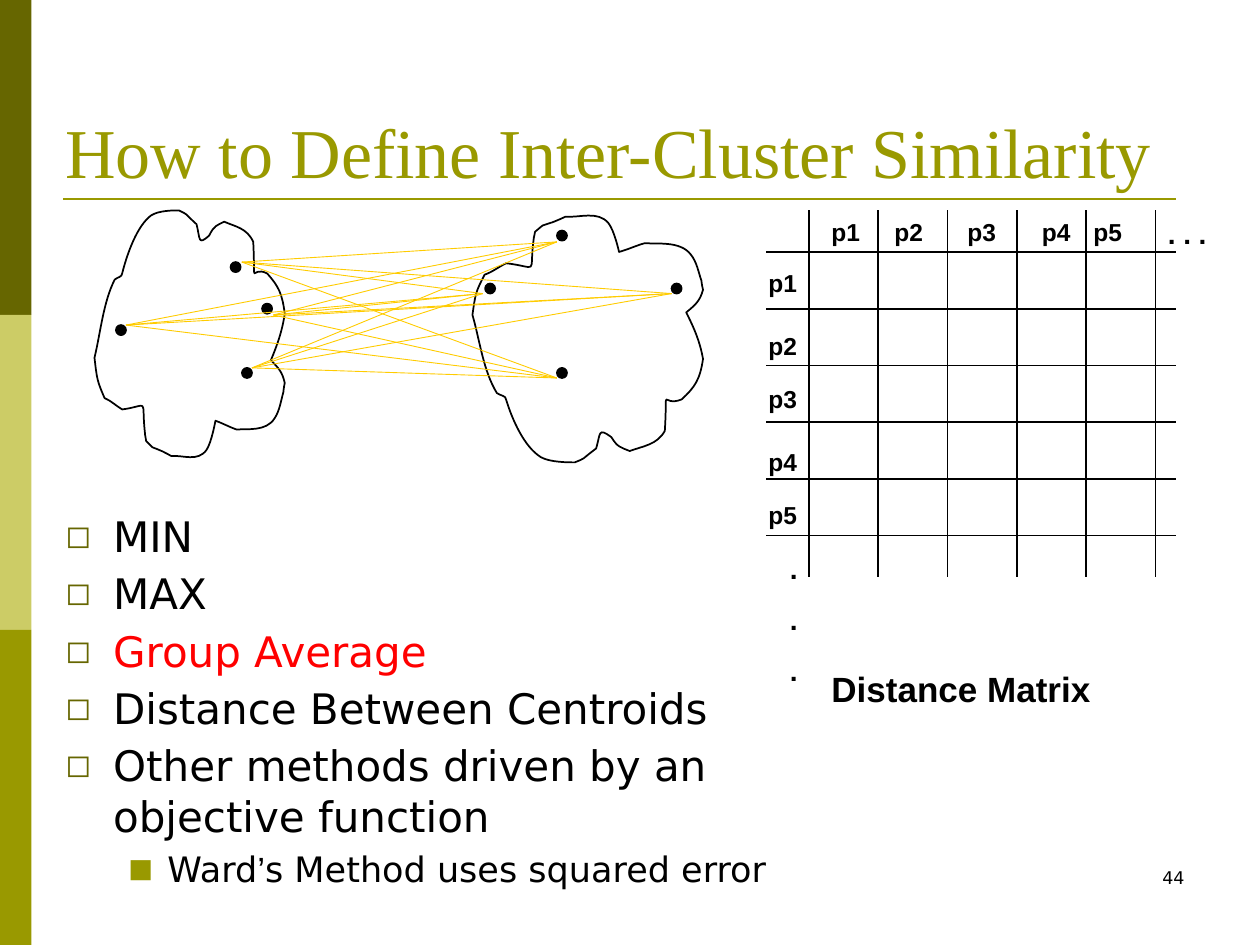
from dataclasses import dataclass
from itertools import product

from lxml.etree import SubElement as Sub
from pptx import Presentation
from pptx.dml.color import RGBColor as RGB
from pptx.enum.shapes import MSO_CONNECTOR as Conn, MSO_SHAPE as Kind
from pptx.enum.text import MSO_ANCHOR as Anchor, MSO_AUTO_SIZE as Fit, PP_ALIGN as Align
from pptx.oxml.ns import qn
from pptx.util import Inches, Pt


@dataclass(frozen=True)
class Theme:
    dark: str = "666600"
    pale: str = "CCCC66"
    olive: str = "999900"
    ink: str = "000000"
    hot: str = "FF0000"
    link: str = "FFCC00"
    serif: str = "Times New Roman"
    sans: str = "DejaVu Sans"
    label: str = "Arial"
    head: int = 40
    body: int = 24
    sub: int = 20
    cell: int = 14
    dots: int = 16
    page: int = 10


T = Theme()
WIDE, HIGH = 10, 7.5

# Content
TITLE = "How to Define Inter-Cluster Similarity"
# Each point: level, then runs of (text, font, colour)
POINTS = [
    (0, [("MIN", T.sans, T.ink)]),
    (0, [("MAX", T.sans, T.ink)]),
    (0, [("Group Average", T.sans, T.hot)]),
    (0, [("Distance Between Centroids", T.sans, T.ink)]),
    (0, [("Other methods driven by an objective function", T.sans, T.ink)]),
    (1, [("Ward", T.sans, T.ink), ("’", T.label, T.ink),
         ("s Method uses squared error", T.sans, T.ink)]),
]
# Each level: type size, indent, hang, bullet, bullet colour
LEVELS = [(T.body, 0.38, 0.38, "◻", T.dark), (T.sub, 0.81, 0.31, "■", T.olive)]

# Matrix labels with their left (columns) or top (rows)
COLS = [("p1", 6.5), ("p2", 7), ("p3", 7.58), ("p4", 8.17), ("p5", 8.58)]
ROWS = [("p1", 2.08), ("p2", 2.58), ("p3", 3), ("p4", 3.5), ("p5", 3.92)]

# Dots: left, top, then the point where its links meet
LEFT = [(1.92, 2.92, 2, 2.92), (2.08, 2.41, 2.17, 2.5),
        (0.92, 2.58, 1, 2.58), (1.83, 2.08, 1.92, 2.08)]
RIGHT = [(4.42, 2.92, 4.42, 3), (3.85, 2.25, 3.83, 2.33),
         (4.42, 1.83, 4.42, 1.92), (5.33, 2.25, 5.33, 2.33)]

# Cloud outline: start, then two handles and an end for each curve
CLOUD = [
    (0.91, 2.22),
    (0.82, 2.4), (0.8, 2.63), (0.75, 2.84),
    (0.77, 3.01), (0.77, 3.02), (0.83, 3.16),
    (0.88, 3.18), (0.92, 3.22), (0.97, 3.25),
    (1.19, 3.22), (1.12, 3.15), (1.15, 3.43),
    (1.15, 3.46), (1.16, 3.48), (1.16, 3.5),
    (1.23, 3.57), (1.19, 3.54), (1.26, 3.57),
    (1.29, 3.58), (1.36, 3.62), (1.36, 3.62),
    (1.45, 3.61), (1.57, 3.67), (1.64, 3.57),
    (1.68, 3.51), (1.71, 3.34), (1.71, 3.34),
    (1.77, 3.36), (1.82, 3.39), (1.88, 3.41),
    (1.96, 3.4), (2.11, 3.43), (2.18, 3.32),
    (2.22, 3.26), (2.23, 3.18), (2.25, 3.11),
    (2.25, 3.09), (2.26, 3.04), (2.26, 3.04),
    (2.24, 2.95), (2.21, 2.92), (2.15, 2.86),
    (2.2, 2.74), (2.24, 2.63), (2.26, 2.49),
    (2.24, 2.33), (2.21, 2.27), (2.12, 2.17),
    (1.98, 2.1), (2.03, 2.32), (2.01, 1.92),
    (1.96, 1.81), (1.87, 1.8), (1.78, 1.76),
    (1.72, 1.79), (1.7, 1.79), (1.66, 1.87),
    (1.57, 1.95), (1.59, 1.9), (1.56, 1.78),
    (1.45, 1.68), (1.5, 1.71), (1.42, 1.67),
    (1.38, 1.67), (1.26, 1.67), (1.2, 1.71),
    (1.09, 1.79), (1.01, 2.01), (0.97, 2.17),
    (0.97, 2.2), (0.93, 2.2), (0.91, 2.22),
]

deck = Presentation()
deck.slide_width, deck.slide_height = Inches(WIDE), Inches(HIGH)
slide = deck.slides.add_slide(deck.slide_layouts[5])
shapes = slide.shapes


# Helpers
def line(x1, y1, x2, y2, color=T.ink, width=1):
    item = shapes.add_connector(Conn.STRAIGHT, *map(Inches, (x1, y1, x2, y2)))
    item.line.color.rgb = RGB.from_string(color)
    item.line.width = Pt(width)
    Sub(item.element.spPr, qn("a:effectLst"))


def solid(kind, x, y, w, h, color, edge=None):
    item = shapes.add_shape(kind, *map(Inches, (x, y, w, h)))
    item.shadow.inherit = False
    item.fill.solid()
    item.fill.fore_color.rgb = RGB.from_string(color)
    if edge:
        item.line.color.rgb = RGB.from_string(edge)
        item.line.width = Pt(1)
    else:
        item.line.fill.background()


def write(para, text, font, size, color=T.ink, bold=False):
    run = para.add_run()
    run.text = text
    run.font.name, run.font.size, run.font.bold = font, Pt(size), bold
    run.font.color.rgb = RGB.from_string(color)


def box(x, y, w, h):
    frame = shapes.add_textbox(*map(Inches, (x, y, w, h))).text_frame
    frame.word_wrap = True
    return frame


def label(x, y, w, h, rows, size):
    frame = box(x, y, w, h)
    for i, text in enumerate(rows):
        para = frame.add_paragraph() if i else frame.paragraphs[0]
        para.space_before = Pt(size * 0.625)
        write(para, text, T.label, size, bold=True)


def bullet(para, indent, hang, sign, color):
    props = para._p.get_or_add_pPr()
    props.set("marL", str(Inches(indent)))
    props.set("indent", str(-Inches(hang)))
    Sub(Sub(props, qn("a:buClr")), qn("a:srgbClr"), val=color)
    Sub(props, qn("a:buSzPct"), val="75000")
    Sub(props, qn("a:buFont"), typeface=T.sans)
    Sub(props, qn("a:buChar"), char=sign)


def cloud(points):
    start, *rest = [(Inches(x), Inches(y)) for x, y in points]
    pen = shapes.build_freeform(*start)
    item = pen.add_line_segments(rest, close=True).convert_to_shape()
    item.shadow.inherit = False
    item.fill.background()
    item.line.color.rgb = RGB.from_string(T.ink)
    item.line.width = Pt(1)
    # Every three straight steps become one cubic curve
    steps = list(item.element.iter(qn("a:lnTo")))
    for i in range(0, len(steps), 3):
        curve = steps[i].makeelement(qn("a:cubicBezTo"))
        steps[i].addprevious(curve)
        for step in steps[i:i + 3]:
            curve.append(step[0])
            step.getparent().remove(step)


# Side bars, title and rule
for i, color in enumerate((T.dark, T.pale, T.olive)):
    solid(Kind.RECTANGLE, 0, i * HIGH / 3, 0.25, HIGH / 3, color)
line(0.5, 1.58, 9.33, 1.58, T.olive, 1.5)
title = shapes.title
title.left, title.top, title.width, title.height = map(Inches, (0.42, 0.98, 9.06, 0.6))
head = title.text_frame
head.vertical_anchor, head.auto_size = Anchor.BOTTOM, Fit.NONE
head.paragraphs[0].alignment = Align.LEFT
write(head.paragraphs[0], TITLE, T.serif, T.head, T.olive)

# Distance matrix
for i in range(6):
    x, y = 6.42 + 0.55 * i, 2 + 0.45 * i
    line(x, 1.67, x, 4.58)
    line(6.08, y, 9.33, y)
for text, x in COLS:
    label(x, 1.67, 0.58, 0.34, [text], T.cell)
for text, y in ROWS:
    label(6, y, 0.58, 0.34, [text], T.cell)
label(9.17, 1.67, 0.58, 0.37, [". . ."], T.dots)
label(6.17, 4.33, 0.58, 1.18, [".", ".", "."], T.dots)
label(6.5, 5.25, 2.75, 0.44, ["Distance Matrix"], T.sub)

# Clusters: the right cloud is the left one, flipped and widened
cloud(CLOUD)
cloud([(3.75 + (x - 0.75) * 1.83 / 1.51, 5.34 - y) for x, y in CLOUD])
for x, y, *_ in LEFT + RIGHT:
    solid(Kind.OVAL, x, y, 0.08, 0.08, T.ink, T.ink)
for a, b in product(LEFT, RIGHT):
    line(*a[2:], *b[2:], T.link, 0.5)

# Bullet list
body = box(0.42, 4, 6.33, 3.42)
for i, (level, runs) in enumerate(POINTS):
    para = body.add_paragraph() if i else body.paragraphs[0]
    size, *mark = LEVELS[level]
    para.level = level
    para.space_before = para.space_after = Pt(2)
    bullet(para, *mark)
    for text, font, color in runs:
        write(para, text, font, size, color)

# Page number
foot = box(7.17, 6.83, 2.33, 0.5).paragraphs[0]
foot.alignment = Align.RIGHT
write(foot, "44", T.sans, T.page)

deck.save("out.pptx")
